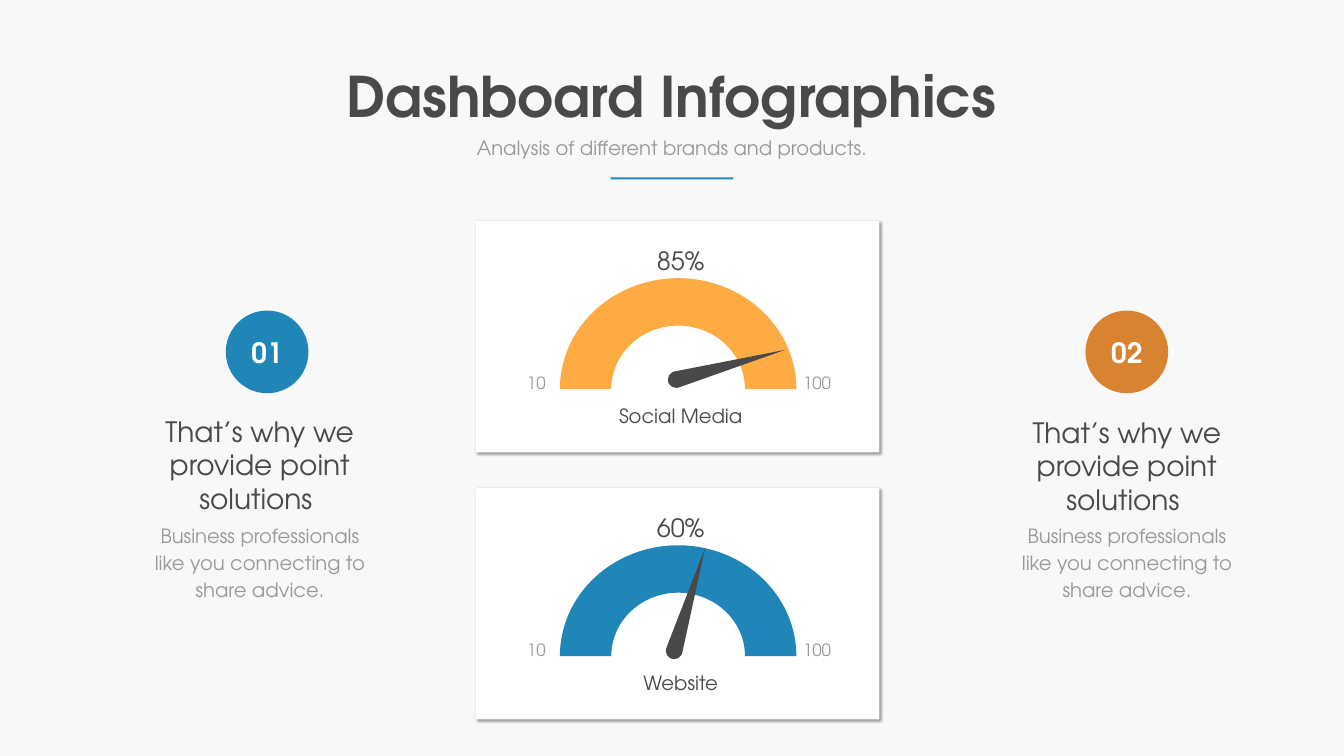
import math

import pptx
import pptx.dml.color
import pptx.enum.shapes
import pptx.enum.text
import pptx.oxml
import pptx.oxml.ns
import pptx.util

Cm = pptx.util.Cm
Pt = pptx.util.Pt
ALIGN = pptx.enum.text.PP_ALIGN
ANCHOR = pptx.enum.text.MSO_ANCHOR
SHAPE = pptx.enum.shapes.MSO_SHAPE
NS = pptx.oxml.ns.nsdecls("a")

FONT = "TeX Gyre Adventor"
COLORS = {
    "background": "F8F8F8",
    "white": "FFFFFF",
    "dark": "494949",
    "grey": "999999",
    "blue": "2086B7",
    "ochre": "D78330",
    "orange": "FEAB44",
}
CENTER_X = 34.18  # middle of both gauges, in cm


def rgb(name):
    return pptx.dml.color.RGBColor.from_string(COLORS[name])


def write(sp, text, size, color="dark", bold=False, align=ALIGN.CENTER,
          anchor=ANCHOR.TOP, line_pt=None, wrap=True):
    tf = sp.text_frame
    tf.word_wrap = wrap
    tf.auto_size = pptx.enum.text.MSO_AUTO_SIZE.NONE
    tf.vertical_anchor = anchor
    p = tf.paragraphs[0]
    p.alignment = align
    p.space_before = Pt(0)
    p.line_spacing = Pt(line_pt) if line_pt else 1.0
    r = p.add_run()
    r.text = text
    r.font.name = FONT
    r.font.size = Pt(size)
    r.font.bold = bold
    r.font.color.rgb = rgb(color)


def place(sp, left, top, width, height):
    sp.left, sp.top, sp.width, sp.height = map(Cm, (left, top, width, height))
    return sp


def add_text(shapes, box, text, size, **fmt):
    write(shapes.add_textbox(*map(Cm, box)), text, size, **fmt)


def paint(sp, color):
    sp.shadow.inherit = False
    sp.fill.solid()
    sp.fill.fore_color.rgb = rgb(color)
    sp.line.fill.background()
    return sp


def add_filled(shapes, kind, box, color):
    return paint(shapes.add_shape(kind, *map(Cm, box)), color)


def add_outline(shapes, points, arcs, color):
    """Closed outline; arcs maps a segment index to (rx, ry, start, sweep)."""
    start, *rest = [(Cm(x), Cm(y)) for x, y in points]
    builder = shapes.build_freeform(*start)
    builder.add_line_segments(rest, close=True)
    sp = paint(builder.convert_to_shape(), color)
    segments = list(sp._element.iter(pptx.oxml.ns.qn("a:lnTo")))
    for i, (rx, ry, begin, sweep) in arcs.items():
        segment = segments[i]
        segment.getparent().replace(segment, pptx.oxml.parse_xml(
            f'<a:arcTo {NS} wR="{Cm(rx)}" hR="{Cm(ry)}" '
            f'stAng="{round(begin % 360 * 60000)}" swAng="{sweep * 60000}"/>'))


def add_card(shapes, top):
    sp = add_filled(shapes, SHAPE.RECTANGLE, (23.98, top, 20.35, 11.66), "white")
    effects = sp._element.spPr.find(pptx.oxml.ns.qn("a:effectLst"))
    effects.append(pptx.oxml.parse_xml(
        f'<a:outerShdw {NS} blurRad="{Pt(4)}" dist="{Pt(3)}" '
        'dir="2700000" algn="tl" rotWithShape="0"><a:srgbClr val="000000">'
        '<a:alpha val="40000"/></a:srgbClr></a:outerShdw>'))


def add_ring(shapes, base, color):
    rx, ry, inner_rx, inner_ry = 5.96, 5.59, 3.37, 3.2
    points = [(CENTER_X + dx, base - dy) for dx, dy in (
        (rx, 0), (0, ry), (-rx, 0),
        (-inner_rx, 0), (0, inner_ry), (inner_rx, 0))]
    arcs = {0: (rx, ry, 0, -90), 1: (rx, ry, 270, -90),
            3: (inner_rx, inner_ry, 180, 90), 4: (inner_rx, inner_ry, 270, 90)}
    add_outline(shapes, points, arcs, color)


def add_needle(shapes, base, pivot, tip):
    radius = 0.42
    px, py = CENTER_X + pivot[0], base + pivot[1]
    angle = math.degrees(math.atan2(tip[1] - pivot[1], tip[0] - pivot[0]))
    foot = [(px + radius * math.cos(math.radians(angle + turn)),
             py + radius * math.sin(math.radians(angle + turn)))
            for turn in (90, 180, 270)]
    arcs = {i: (radius, radius, angle + 90 * (i + 1), 90) for i in range(2)}
    add_outline(shapes, foot + [(CENTER_X + tip[0], base + tip[1])], arcs, "dark")


def add_gauge(slide, base, color, label, value, pivot, tip):
    """Gauge standing on height base; pivot and tip are offsets from its middle."""
    shapes = slide.shapes.add_group_shape().shapes
    add_ring(shapes, base, color)
    add_needle(shapes, base, pivot, tip)

    # Scale ends, label and value
    scale = {"size": 24, "color": "grey", "line_pt": 40.8}
    add_text(shapes, (25.57, base - 1.38, 2.18, 1.55), "10", align=ALIGN.RIGHT, **scale)
    add_text(shapes, (40.23, base - 1.38, 2.79, 1.55), "100", align=ALIGN.LEFT, **scale)
    add_text(shapes, (25.58, base + 0.62, 17.45, 1.45), label, 28)
    add_text(shapes, (25.58, base - 7.38, 17.45, 1.8), value, 36)


def add_column(shapes, number, color, circle_left, text_left, text_top):
    add_text(shapes, (text_left, text_top, 13.54, 5.38),
             "That’s why we provide point solutions ", 40)
    add_text(shapes, (text_left + 0.8, 26.09, 11.96, 4.37),
             "Business professionals like you connecting to share advice.",
             28, color="grey", line_pt=38.6)
    sp = add_filled(shapes, SHAPE.OVAL, (circle_left, 15.65, 4.17, 4.17), color)
    write(sp, number, 40, color="white", bold=True, anchor=ANCHOR.MIDDLE)


def main():
    prs = pptx.Presentation()
    prs.slide_width, prs.slide_height = Cm(67.74), Cm(38.1)
    slide = prs.slides.add_slide(prs.slide_layouts[0])
    slide.background.fill.solid()
    slide.background.fill.fore_color.rgb = rgb("background")

    # Heading
    title, subtitle = slide.placeholders
    write(place(title, 16.99, 2.97, 33.71, 3.68), "Dashboard Infographics", 80,
          bold=True, wrap=False)
    write(place(subtitle, 21.72, 6.73, 24.28, 1.45),
          "Analysis of different brands and products.", 28, color="grey")
    add_filled(slide.shapes, SHAPE.RECTANGLE, (30.78, 8.94, 6.17, 0.1), "blue")

    # Side columns
    columns = slide.shapes.add_group_shape().shapes
    add_column(columns, "01", "blue", 11.38, 6.32, 20.75)
    add_column(columns, "02", "ochre", 54.71, 50.02, 20.81)

    # Gauge cards
    gauges = [
        (33.07, "blue", "Website", "60%", (-0.2, -0.27), (1.36, -5.46)),
        (19.61, "orange", "Social Media", "85%", (-0.1, -0.48), (5.4, -1.98)),
    ]
    for base, *_ in gauges:
        add_card(slide.shapes, base - 8.47)
    for gauge in gauges:
        add_gauge(slide, *gauge)

    prs.save("out.pptx")


if __name__ == "__main__":
    main()
